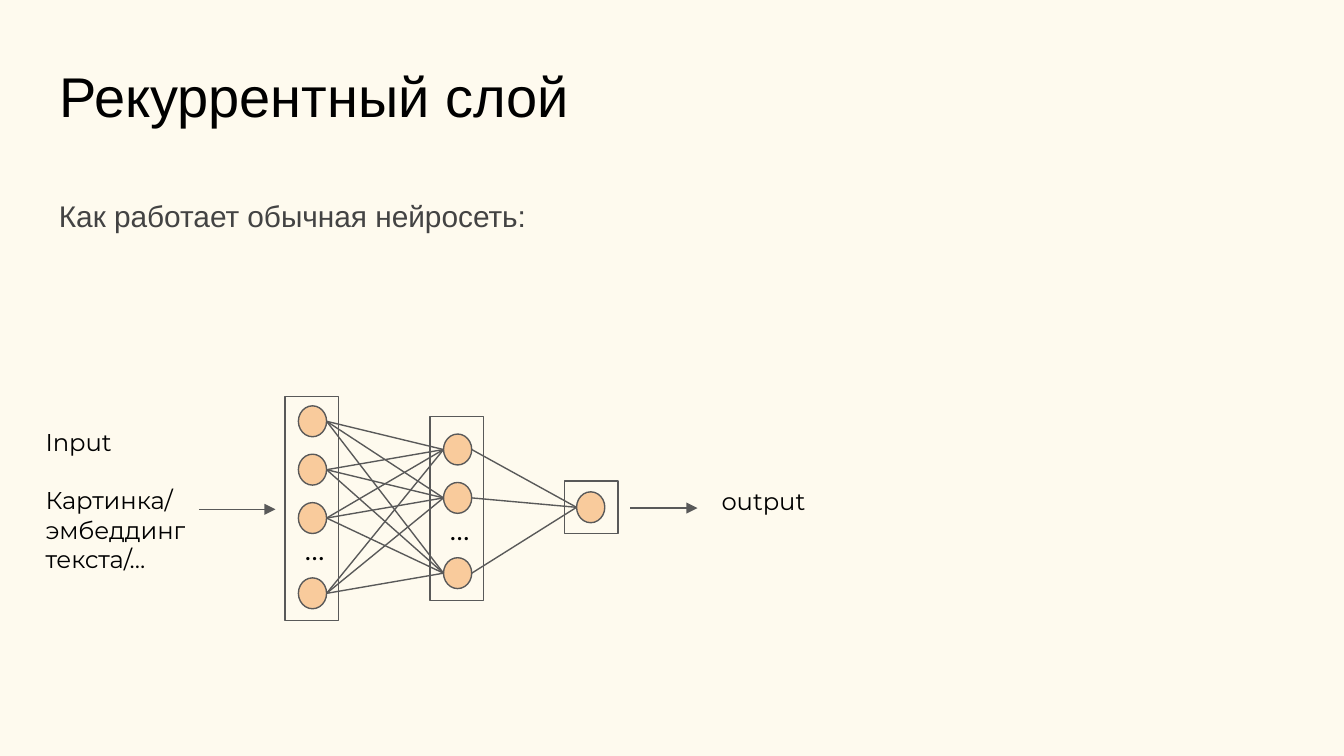
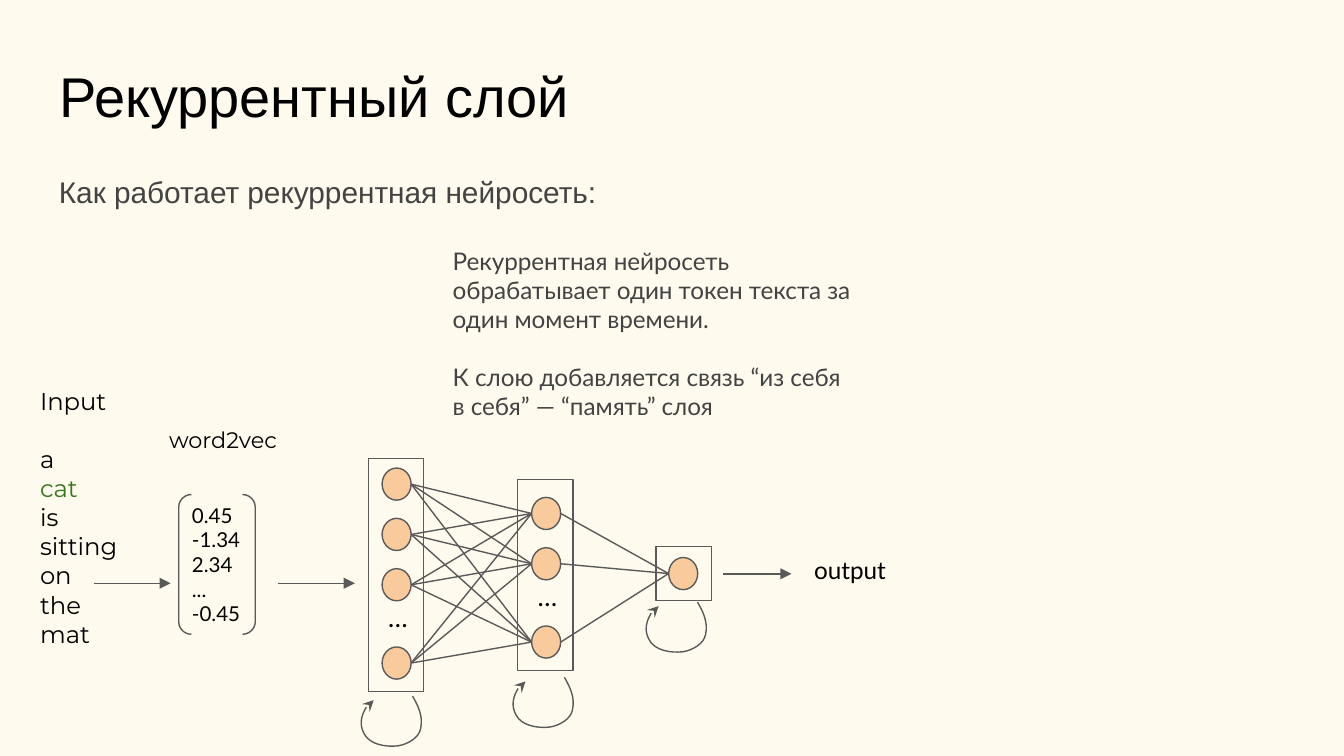
from itertools import product

from lxml.etree import SubElement
from pptx import Presentation
from pptx.dml.color import RGBColor
from pptx.enum.shapes import MSO_CONNECTOR as Link, MSO_SHAPE as Form
from pptx.enum.text import MSO_ANCHOR as Anchor, MSO_AUTO_SIZE as Fit, PP_ALIGN as Align
from pptx.oxml.ns import qn
from pptx.util import Inches, Pt

COLORS = {
    "background": "FEFAEE",
    "black": "000000",
    "gray": "434343",
    "line": "595959",
    "neuron": "F9CB9C",
    "green": "38761D",
}

TITLE = "Рекуррентный слой"
BLANK_LINE = 15.6

LAYERS = [
    {"frame": (0, 0, 0.4, 1.67), "inset": 0.1, "neurons": [0.07, 0.43, 0.79, 1.35], "dots": 0.93},
    {"frame": (1.08, 0.15, 0.4, 1.37), "inset": 0.1, "neurons": [0.28, 0.64, 1.2], "dots": 0.78},
    {"frame": (2.08, 0.63, 0.4, 0.39), "inset": 0.09, "neurons": [0.71], "dots": None},
]
NEURON_WIDTH, NEURON_HEIGHT = 0.21, 0.23

LOOP_CURVE = [
    (0.04, 0.07), (0.08, 0.15), (0.06, 0.24),
    (0.05, 0.31), (-0.04, 0.36), (-0.11, 0.37),
    (-0.2, 0.38), (-0.32, 0.36), (-0.36, 0.28),
    (-0.4, 0.21), (-0.37, 0.07), (-0.29, 0.03),
]

SLIDES = [
    {
        "network": (2.12, 2.95, 1, 1),
        "arrows": [(1.48, 2.05, 3.79), (4.69, 5.19, 3.78)],
        "brackets": [],
        "loops": [],
        "texts": [
            ((0.34, 1.37, 5.48, 0.47), "Arial", 16, "gray",
             [("Как работает обычная нейросеть:",)]),
            ((0.24, 3.08, 1.25, 1.3), "Montserrat", 13, "black",
             [("Input",), ("Картинка/", "black", BLANK_LINE), ("эмбеддинг текста/…",)]),
            ((5.27, 3.52, 1.08, 0.42), "Montserrat", 13, "black", [("output",)]),
        ],
    },
    {
        "network": (2.74, 3.41, 1.03, 1.04),
        "arrows": [(0.7, 1.27, 4.34), (2.07, 2.64, 4.34), (5.38, 5.89, 4.27)],
        "brackets": [(1.33, 3.68, 0.57, 1.04)],
        "loops": [(3.07, 5.18), (4.2, 5.04), (5.19, 4.48)],
        "texts": [
            ((0.34, 1.19, 5.48, 0.47), "Arial", 16, "gray",
             [("Как работает рекуррентная нейросеть:",)]),
            ((3.27, 1.73, 3.2, 1.52), "Lato", 13, "gray",
             [("Рекуррентная нейросеть обрабатывает один токен текста за один момент времени.",),
              ("К слою добавляется связь “из себя в себя” — “память” слоя", "gray", BLANK_LINE)]),
            ((0.2, 2.77, 0.96, 2.61), "Montserrat", 13, "black",
             [("Input",), ("a", "black", BLANK_LINE), ("cat", "green"), ("is",),
              ("sitting",), ("on",), ("the",), ("mat",)]),
            ((1.16, 3.07, 1.19, 0.4), "Montserrat", 12, "black", [("word2vec",)]),
            ((1.33, 3.64, 0.84, 1.13), "Lato", 11, "black",
             [("0.45",), ("-1.34",), ("2.34",), ("...",), ("-0.45",)]),
            ((5.96, 4.03, 0.96, 0.42), "Lato", 13, "black", [("output",)]),
        ],
    },
]


def rgb(name):
    return RGBColor.from_string(COLORS[name])


def lengths(values):
    return [Inches(value) for value in values]


def write(frame, font, size, color, paragraphs):
    frame.word_wrap = True
    frame.vertical_anchor = Anchor.TOP
    frame.margin_left = frame.margin_right = Inches(0.1)
    frame.margin_top = frame.margin_bottom = Inches(0.1)
    for index, (text, *details) in enumerate(paragraphs):
        para = frame.paragraphs[0] if index == 0 else frame.add_paragraph()
        para.alignment = Align.LEFT
        para.space_before = Pt(details[1] if len(details) > 1 else 0)
        span = para.add_run()
        span.text = text
        span.font.name = font
        span.font.size = Pt(size)
        span.font.color.rgb = rgb(details[0] if details else color)


def add_text(slide, place, font, size, color, paragraphs):
    box = slide.shapes.add_textbox(*lengths(place))
    write(box.text_frame, font, size, color, paragraphs)
    box.text_frame.auto_size = Fit.SHAPE_TO_FIT_TEXT


def outline(shape, head=None):
    shape.line.color.rgb = rgb("line")
    shape.line.width = Pt(0.75)
    if head:
        SubElement(shape.element.spPr.find(qn("a:ln")), qn("a:tailEnd"), type=head)


def style_shape(shape, fill=None, head=None):
    shape.shadow.inherit = False
    if fill:
        shape.fill.solid()
        shape.fill.fore_color.rgb = rgb(fill)
    else:
        shape.fill.background()
    outline(shape, head)


def add_form(slide, form, place, fill=None):
    style_shape(slide.shapes.add_shape(form, *lengths(place)), fill)


def add_link(slide, start, end, head=None):
    link = slide.shapes.add_connector(Link.STRAIGHT, *lengths(start + end))
    outline(link, head)
    SubElement(link.element.spPr, qn("a:effectLst"))


def add_loop(slide, left, top):
    builder = slide.shapes.build_freeform(Inches(left), Inches(top))
    points = [lengths((left + dx, top + dy)) for dx, dy in LOOP_CURVE]
    builder.add_line_segments(points, close=False)
    loop = builder.convert_to_shape()
    segments = list(loop.element.iter(qn("a:lnTo")))
    for first in range(0, len(segments), 3):
        curve = SubElement(segments[first].getparent(), qn("a:cubicBezTo"))
        for segment in segments[first:first + 3]:
            curve.append(segment[0])
            segment.getparent().remove(segment)
    style_shape(loop, head="stealth")


def add_network(slide, left, top, scale_x, scale_y):
    width, height = NEURON_WIDTH * scale_x, NEURON_HEIGHT * scale_y
    previous = []
    for layer in LAYERS:
        x, y, frame_width, frame_height = layer["frame"]
        frame_left = left + x * scale_x
        add_form(slide, Form.RECTANGLE, (frame_left, top + y * scale_y,
                                         frame_width * scale_x, frame_height * scale_y))
        neuron_left = frame_left + layer["inset"] * scale_x
        tops = [top + offset * scale_y for offset in layer["neurons"]]
        for neuron_top in tops:
            add_form(slide, Form.OVAL, (neuron_left, neuron_top, width, height), "neuron")
        centers = [neuron_top + height / 2 for neuron_top in tops]
        for start, center in product(previous, centers):
            add_link(slide, start, (neuron_left, center))
        previous = [(neuron_left + width, center) for center in centers]
        if layer["dots"] is not None:
            place = (frame_left + 0.05, top + layer["dots"] * scale_y, 0.3 * scale_x, 0.44)
            add_text(slide, place, "Lato", 14, "black", [("…",)])


def add_title(slide):
    title = slide.shapes.title
    title.left, title.top, title.width, title.height = lengths((0.34, 0.36, 9.32, 0.63))
    write(title.text_frame, "Arial", 30, "black", [(TITLE,)])
    title.text_frame.auto_size = Fit.NONE


def main():
    deck = Presentation()
    deck.slide_width = Inches(10)
    deck.slide_height = deck.slide_width * 9 // 16
    background = deck.slide_master.background.fill
    background.solid()
    background.fore_color.rgb = rgb("background")
    for content in SLIDES:
        slide = deck.slides.add_slide(deck.slide_layouts.get_by_name("Title Only"))
        add_title(slide)
        add_network(slide, *content["network"])
        for start, end, y in content["arrows"]:
            add_link(slide, (start, y), (end, y), "triangle")
        for place in content["brackets"]:
            add_form(slide, Form.DOUBLE_BRACKET, place)
        for corner in content["loops"]:
            add_loop(slide, *corner)
        for text in content["texts"]:
            add_text(slide, *text)
    deck.save("out.pptx")


if __name__ == "__main__":
    main()
